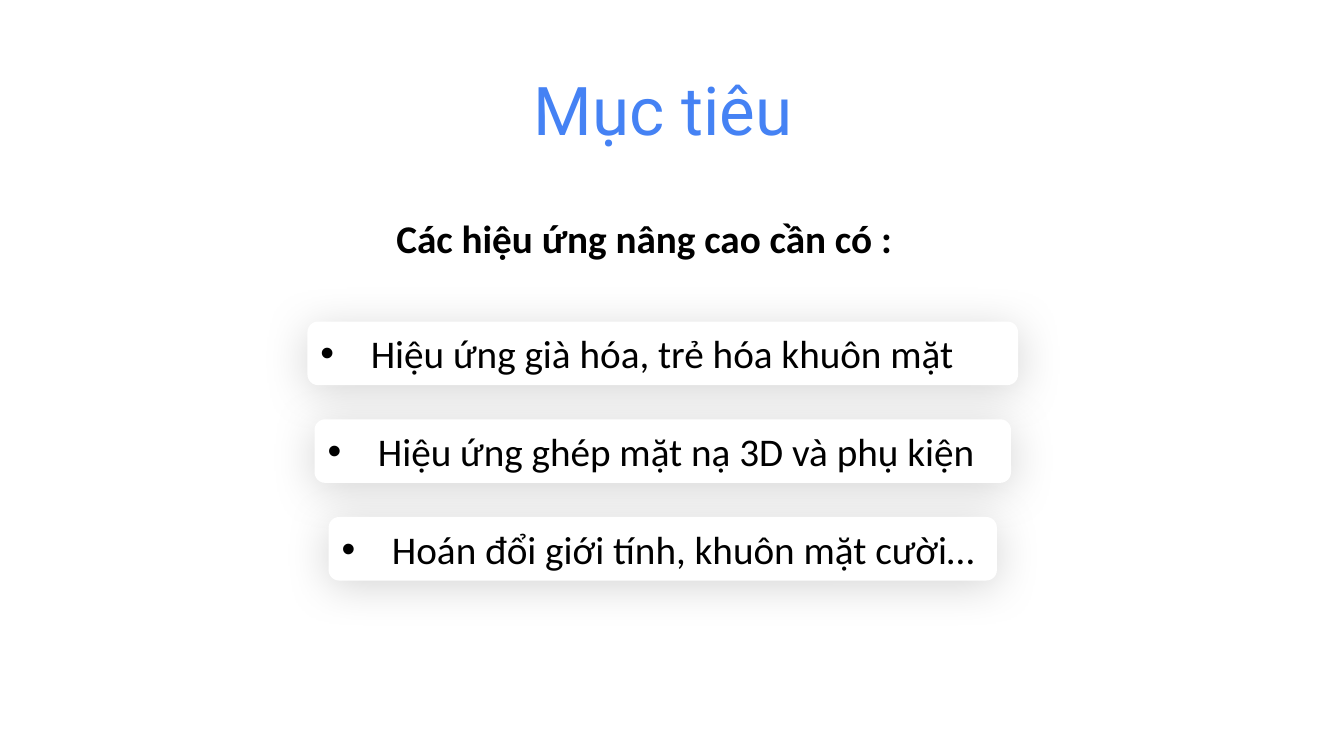
from dataclasses import dataclass

from lxml.etree import SubElement
from pptx import Presentation
from pptx.dml.color import RGBColor
from pptx.enum.shapes import MSO_SHAPE
from pptx.enum.text import MSO_ANCHOR, PP_ALIGN
from pptx.oxml.ns import qn
from pptx.util import Pt


@dataclass(frozen=True)
class Theme:
    """Colours, fonts and type sizes of the slide."""
    blue: str = "4582F4"
    black: str = "000000"
    white: str = "FFFFFF"
    head: str = "Roboto"
    body: str = "Calibri"
    big: int = 48
    text: int = 28


THEME = Theme()
MID = 473.4
TOP = 229.7
STEP = 69.8
HIGH = 45.4
GOALS = [
    ("Hiệu ứng già hóa, trẻ hóa khuôn mặt", 507.6),
    ("Hiệu ứng ghép mặt nạ 3D và phụ kiện", 497.5),
    ("Hoán đổi giới tính, khuôn mặt cười…", 477.4),
]


def write(shape, text, face, size, color, align, bold=False):
    """Fill a shape with one styled paragraph and return it."""
    shape.text_frame.word_wrap = True
    para = shape.text_frame.paragraphs[0]
    para.text = text
    para.alignment = align
    font = para.runs[0].font
    font.name, font.size, font.bold = face, Pt(size), bold
    font.color.rgb = RGBColor.from_string(color)
    return para


def label(slide, box, text, face, size, color, bold=False):
    """Add a centred line of text."""
    shape = slide.shapes.add_textbox(*map(Pt, box))
    return write(shape, text, face, size, color, PP_ALIGN.CENTER, bold)


def bullet(para):
    """Give a paragraph a round bullet with a hanging indent."""
    props = para._p.get_or_add_pPr()
    props.set("marL", str(Pt(36)))
    props.set("indent", str(-Pt(36)))
    SubElement(props, qn("a:buFont"), typeface="Arial")
    SubElement(props, qn("a:buChar"), char="•")


def shade(shape):
    """Put a soft shadow below a shape."""
    shape.shadow.inherit = False
    effects = shape._element.spPr.find(qn("a:effectLst"))
    glow = SubElement(effects, qn("a:outerShdw"), blurRad=str(Pt(32)),
                      dist=str(Pt(4)), dir="5400000", algn="t", rotWithShape="0")
    color = SubElement(glow, qn("a:srgbClr"), val=THEME.black)
    SubElement(color, qn("a:alpha"), val="17000")


def card(slide, top, width, text):
    """Add a white rounded card that holds one bulleted goal."""
    box = (MID - width / 2, top, width, HIGH)
    shape = slide.shapes.add_shape(MSO_SHAPE.ROUNDED_RECTANGLE, *map(Pt, box))
    shape.fill.solid()
    shape.fill.fore_color.rgb = RGBColor.from_string(THEME.white)
    shape.line.fill.background()
    shade(shape)
    shape.text_frame.vertical_anchor = MSO_ANCHOR.MIDDLE
    bullet(write(shape, text, THEME.body, THEME.text, THEME.black, PP_ALIGN.LEFT))


def main():
    """Build the slide and save it."""
    deck = Presentation()
    deck.slide_width, deck.slide_height = Pt(960), Pt(540)
    slide = deck.slides.add_slide(deck.slide_layouts[6])
    title = label(slide, (86.4, 51.8, 774.7, 74.9), "Mục tiêu",
                  THEME.head, THEME.big, THEME.blue)
    title.line_spacing = 0.9
    label(slide, (92.2, 149.8, 735.8, 41), "Các hiệu ứng nâng cao cần có :",
          THEME.body, THEME.text, THEME.black, True)
    for row, (text, width) in enumerate(GOALS):
        card(slide, TOP + row * STEP, width, text)
    deck.save("out.pptx")


if __name__ == "__main__":
    main()
